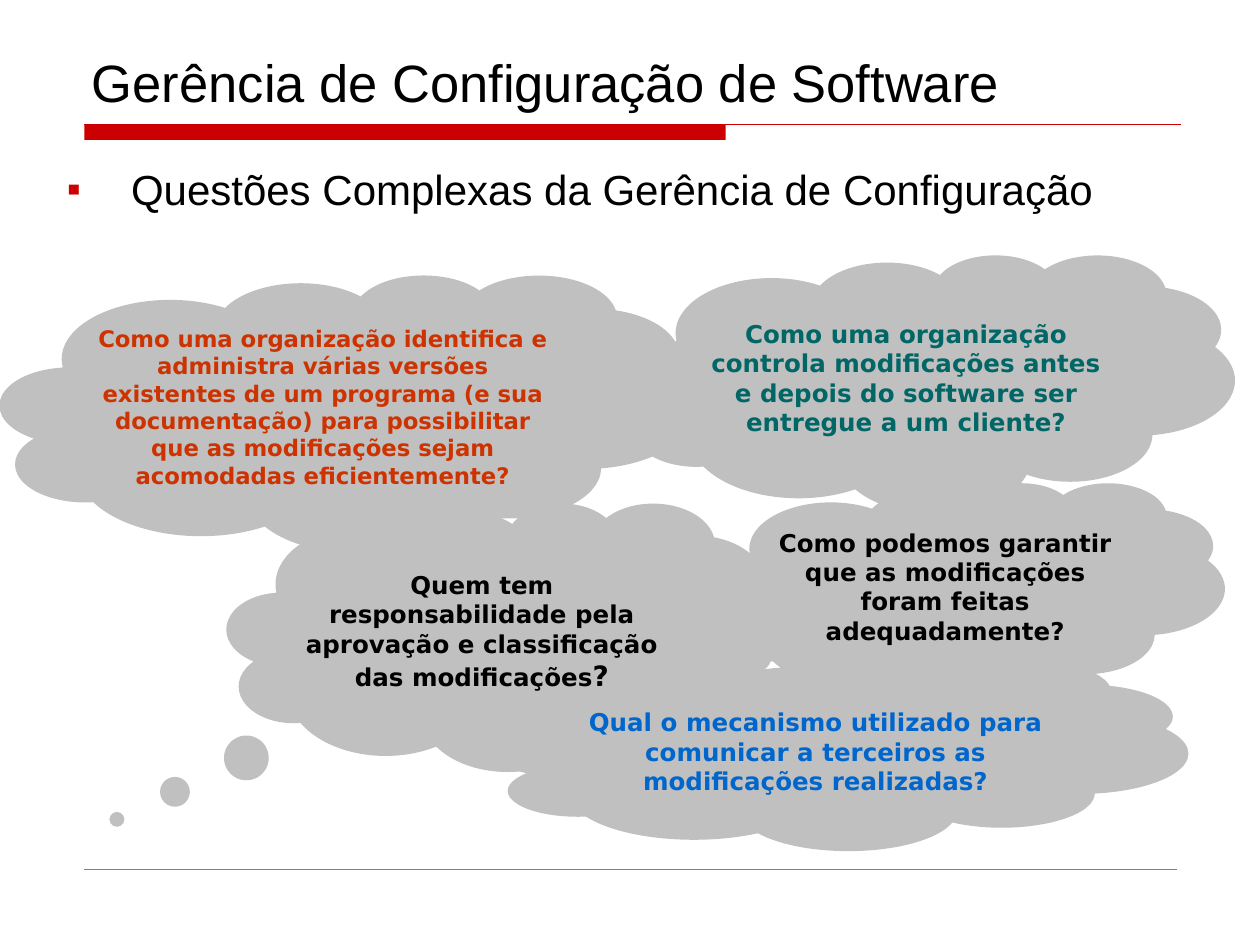
from lxml import etree
from pptx import Presentation
from pptx.dml.color import RGBColor
from pptx.enum.shapes import MSO_CONNECTOR, MSO_SHAPE
from pptx.enum.text import MSO_ANCHOR, MSO_AUTO_SIZE, PP_ALIGN
from pptx.oxml.ns import qn
from pptx.util import Inches, Pt

CLOUD = MSO_SHAPE.CLOUD_CALLOUT
RECTANGLE = MSO_SHAPE.RECTANGLE
STRAIGHT = MSO_CONNECTOR.STRAIGHT
TOP, MIDDLE, BOTTOM = MSO_ANCHOR.TOP, MSO_ANCHOR.MIDDLE, MSO_ANCHOR.BOTTOM
LEFT, CENTER, JUSTIFY = PP_ALIGN.LEFT, PP_ALIGN.CENTER, PP_ALIGN.JUSTIFY
NO_AUTOFIT = MSO_AUTO_SIZE.NONE

BLACK = RGBColor(0x00, 0x00, 0x00)
RED = RGBColor(0xCC, 0x00, 0x00)
GRAY = RGBColor(0x80, 0x80, 0x80)
SILVER = RGBColor(0xC0, 0xC0, 0xC0)
ORANGE = RGBColor(0xCC, 0x33, 0x00)
TEAL = RGBColor(0x00, 0x66, 0x66)
BLUE = RGBColor(0x00, 0x66, 0xCC)

CLOUDS = [
    ((1.8, 3.99, 4.36, 2.13), (-0.7, 0.68), 14, BLACK,
     [("Quem tem responsabilidade pela aprovação e classificação das modificações", 14), ("?", 16)]),
    ((0, 2.18, 5.51, 2.2), (0.27, 0.39), 13, ORANGE,
     [("Como uma organização identifica e administra várias versões existentes de um programa "
       "(e sua documentação) para possibilitar que as modificações sejam acomodadas "
       "eficientemente?", 13)]),
    ((4.93, 2.02, 4.87, 2.05), (0.07, 0.5), 14, TEAL,
     [("Como uma organização controla modificações antes e depois do software ser entregue "
       "a um cliente?", 14)]),
    ((5.58, 3.83, 4.14, 1.73), (-0.03, 0.57), 14, BLACK,
     [("Como podemos garantir que as modificações foram feitas adequadamente?", 14)]),
    ((3.91, 5.25, 5.52, 1.5), (-0.15, -0.65), 14, BLUE,
     [("Qual o mecanismo utilizado para comunicar a terceiros as modificações realizadas?", 14)]),
]


class SlideBuilder:
    """Holds the fonts and the current slide, and adds each kind of element."""

    heading_font = "Arial"
    cloud_font = "DejaVu Sans"

    def __init__(self, slide):
        self.slide = slide

    def style_run(self, run, font, size, color, bold=False):
        run.font.name = font
        run.font.size = Pt(size)
        run.font.color.rgb = color
        run.font.bold = bold

    def placeholder(self, index, box, text, size, anchor, alignment):
        shape = self.slide.placeholders[index]
        shape.left, shape.top, shape.width, shape.height = map(Inches, box)
        text_frame = shape.text_frame
        text_frame.text = text
        text_frame.auto_size = NO_AUTOFIT
        text_frame.vertical_anchor = anchor
        paragraph = text_frame.paragraphs[0]
        paragraph.alignment = alignment
        self.style_run(paragraph.runs[0], self.heading_font, size, BLACK)
        return paragraph

    def title(self, text):
        self.placeholder(0, (0.63, 0.05, 8.75, 0.9), text, 30, BOTTOM, LEFT)

    def bullet(self, text):
        paragraph = self.placeholder(1, (0.43, 1.29, 8.74, 0.63), text, 24, TOP, JUSTIFY)
        paragraph.line_spacing = 0.9
        paragraph.space_before = Pt(6)
        properties = paragraph._p.get_or_add_pPr()
        properties.set("marL", str(Inches(0.51)))
        properties.set("indent", str(Inches(-0.51)))
        color = etree.SubElement(properties, qn("a:buClr"))
        etree.SubElement(color, qn("a:srgbClr"), val=str(RED))
        etree.SubElement(properties, qn("a:buSzPct"), val="95000")
        etree.SubElement(properties, qn("a:buFont"), typeface=self.heading_font)
        etree.SubElement(properties, qn("a:buChar"), char="▪")

    def shape(self, kind, box, fill):
        shape = self.slide.shapes.add_shape(kind, *map(Inches, box))
        shape.shadow.inherit = False
        shape.fill.solid()
        shape.fill.fore_color.rgb = fill
        shape.line.fill.background()
        return shape

    def rule(self, left, right, top, color, width):
        line = self.slide.shapes.add_connector(
            STRAIGHT, Inches(left), Inches(top), Inches(right), Inches(top))
        line.line.color.rgb = color
        line.line.width = Pt(width)
        etree.SubElement(line._element.spPr, qn("a:effectLst"))

    def cloud(self, box, tail, size, color, parts):
        shape = self.shape(CLOUD, box, SILVER)
        shape.adjustments[0], shape.adjustments[1] = tail
        text_frame = shape.text_frame
        text_frame.word_wrap = True
        text_frame.vertical_anchor = MIDDLE
        text_frame.margin_left = text_frame.margin_right = 0
        text_frame.margin_top = text_frame.margin_bottom = 0
        paragraph = text_frame.paragraphs[0]
        paragraph.alignment = CENTER
        paragraph.font.size = Pt(size)
        for text, run_size in parts:
            run = paragraph.add_run()
            run.text = text
            self.style_run(run, self.cloud_font, run_size, color, bold=True)


def main():
    presentation = Presentation()
    presentation.slide_width = Inches(10)
    presentation.slide_height = Inches(7.5)
    builder = SlideBuilder(presentation.slides.add_slide(presentation.slide_layouts[1]))
    builder.title("Gerência de Configuração de Software")
    builder.shape(RECTANGLE, (0.67, 0.99, 5.09, 0.12), RED)
    builder.rule(0.67, 9.37, 0.99, RED, 0.75)
    builder.rule(0.67, 9.34, 6.9, GRAY, 0.25)
    builder.bullet("Questões Complexas da Gerência de Configuração")
    for cloud in CLOUDS:
        builder.cloud(*cloud)
    presentation.save("out.pptx")


if __name__ == "__main__":
    main()
